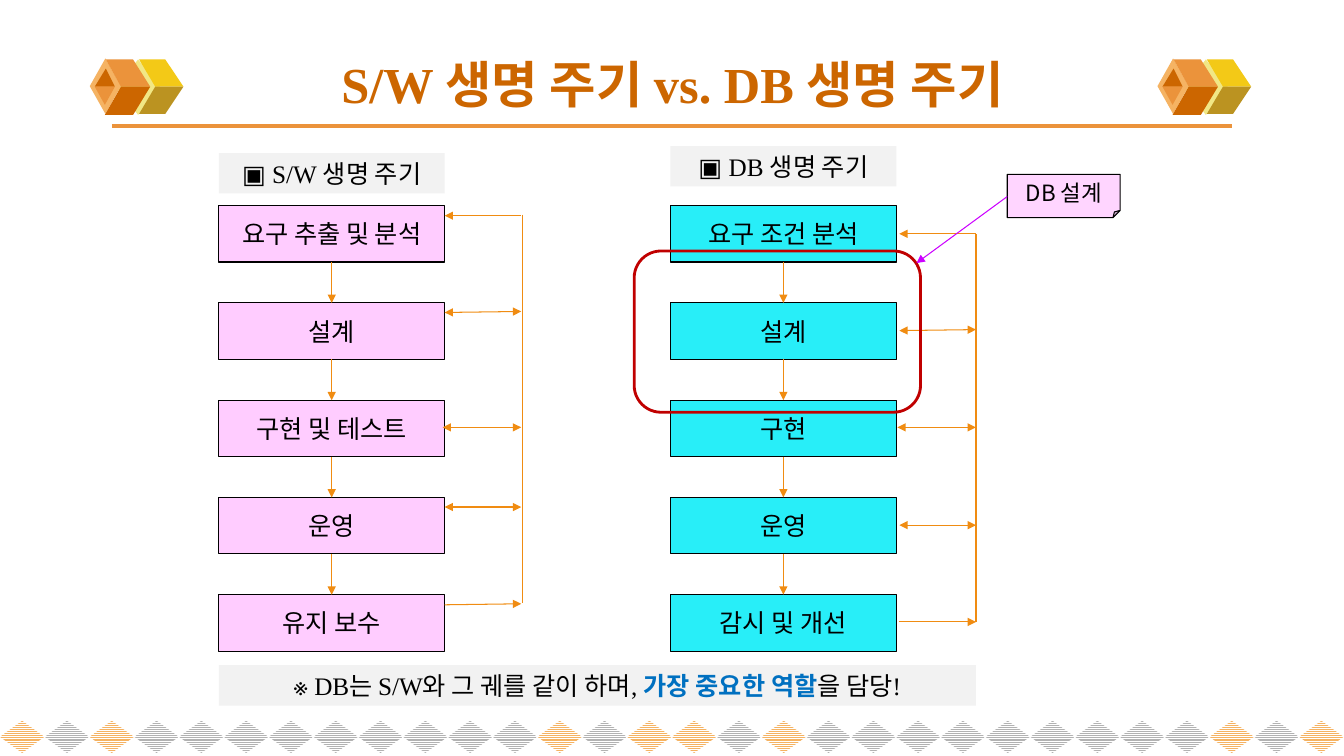
from lxml import etree
from pptx import Presentation
from pptx.dml.color import RGBColor
from pptx.enum.dml import MSO_PATTERN
from pptx.enum.shapes import MSO_CONNECTOR, MSO_SHAPE
from pptx.enum.text import MSO_ANCHOR, PP_ALIGN
from pptx.oxml.ns import qn
from pptx.util import Inches, Pt

RECT = MSO_SHAPE.RECTANGLE
DIAMOND = MSO_SHAPE.DIAMOND
ROUNDED = MSO_SHAPE.ROUNDED_RECTANGLE
FOLDED = MSO_SHAPE.FOLDED_CORNER
STRAIGHT = MSO_CONNECTOR.STRAIGHT
NARROW = MSO_PATTERN.NARROW_HORIZONTAL
MIDDLE = MSO_ANCHOR.MIDDLE
CENTER = PP_ALIGN.CENTER
LATIN = "Times New Roman"
KOREAN = "Noto Sans CJK KR"
ORANGE = "F08C12"
rgb = RGBColor.from_string

prs = Presentation()
prs.slide_width = Inches(13.33)
prs.slide_height = Inches(7.5)
slide = prs.slides.add_slide(prs.slide_layouts[6])
shapes = slide.shapes


def dress(shape, fill=None, outline=None, weight=0.75, text="", size=18,
          color="000000", bold=False, font=LATIN):
    shape.shadow.inherit = False
    if fill:
        shape.fill.solid()
        shape.fill.fore_color.rgb = rgb(fill)
    else:
        shape.fill.background()
    if outline:
        shape.line.color.rgb = rgb(outline)
        shape.line.width = Pt(weight)
    else:
        shape.line.fill.background()
    if text:
        frame = shape.text_frame
        frame.word_wrap = True
        frame.vertical_anchor = MIDDLE
        paragraph = frame.paragraphs[0]
        paragraph.text = text
        paragraph.alignment = CENTER
        paragraph.font.size = Pt(size)
        paragraph.font.bold = bold
        paragraph.font.color.rgb = rgb(color)
        paragraph.font.name = font
        defaults = paragraph._p.pPr.find(qn("a:defRPr"))
        etree.SubElement(defaults, qn("a:ea"), typeface=KOREAN)
    return shape


def add_line(x1, y1, x2, y2, color=ORANGE, weight=0.75, ends=()):
    line = shapes.add_connector(STRAIGHT, Inches(x1), Inches(y1), Inches(x2), Inches(y2))
    line.line.color.rgb = rgb(color)
    line.line.width = Pt(weight)
    properties = line._element.spPr
    for end in ends:
        etree.SubElement(properties.find(qn("a:ln")), qn(f"a:{end}"), type="triangle")
    etree.SubElement(properties, qn("a:effectLst"))


pitch = 13.33 / 30
orange_columns = (0, 2, 12, 14, 15, 17, 27, 29)
for column in range(30):
    diamond = dress(shapes.add_shape(DIAMOND, Inches(column * pitch), Inches(7.15),
                                     Inches(0.44), Inches(0.32)))
    diamond.fill.patterned()
    diamond.fill.pattern = NARROW
    diamond.fill.fore_color.rgb = rgb("F5B363" if column in orange_columns else "B2B2B2")
    diamond.fill.back_color.rgb = rgb("FFFFFF")

add_line(1.11, 1.25, 12.22, 1.25, "EB933B", 2.25)

cube_diamonds = [(0.26, 0.01, 0.44, "F1E785"), (0, 0, 0.31, "F5B363")]
cube_faces = [
    ("F3C917", [(0.65, 0.28), (0.93, 0.28), (0.75, 0.01), (0.49, 0.01)]),
    ("BB9321", [(0.65, 0.28), (0.93, 0.28), (0.75, 0.55), (0.49, 0.55)]),
    ("EB933B", [(0.31, 0.28), (0.6, 0.28), (0.43, 0.01), (0.16, 0.01)]),
    ("CC6600", [(0.31, 0.28), (0.6, 0.28), (0.43, 0.56), (0.15, 0.56)]),
    ("CC6600", [(0.16, 0.1), (0.05, 0.28), (0.25, 0.28)]),
    ("EB933B", [(0.15, 0.46), (0.05, 0.28), (0.25, 0.28)]),
]
cube_top = 0.58
for cube_left in (0.89, 11.48):
    for dx, dy, width, color in cube_diamonds:
        dress(shapes.add_shape(DIAMOND, Inches(cube_left + dx), Inches(cube_top + dy),
                               Inches(width), Inches(0.55)), color)
    for color, corners in cube_faces:
        points = [(Inches(cube_left + dx), Inches(cube_top + dy)) for dx, dy in corners]
        outline = shapes.build_freeform(*points[0])
        outline.add_line_segments(points[1:], close=True)
        dress(outline.convert_to_shape(), color)

title = shapes.add_textbox(Inches(0.67), Inches(0.45), Inches(12), Inches(0.76))
dress(title, text="S/W 생명 주기 vs. DB 생명 주기", size=36, color="CC6600", bold=True)

step_top, step_gap, step_width, step_height = 2.04, 0.965, 2.24, 0.56
cycles = [
    (2.17, 1.52, "▣ S/W 생명 주기", "FFCCFF",
     ["요구 추출 및 분석", "설계", "구현 및 테스트", "운영", "유지 보수"]),
    (6.65, 1.45, "▣ DB 생명 주기", "28EEF8",
     ["요구 조건 분석", "설계", "구현", "운영", "감시 및 개선"]),
]
for left, heading_top, heading, fill, steps in cycles:
    dress(shapes.add_shape(RECT, Inches(left), Inches(heading_top),
                           Inches(step_width), Inches(0.4)), "F2F2F2", text=heading)
    for index, step in enumerate(steps):
        top = step_top + index * step_gap
        dress(shapes.add_shape(RECT, Inches(left), Inches(top), Inches(step_width),
                               Inches(step_height)), fill, "000000", text=step)
        if index:
            middle = left + step_width / 2
            add_line(middle, top - step_gap + step_height, middle, top, ends=["tailEnd"])

BOTH = ("headEnd", "tailEnd")
feedbacks = [
    (5.18, 2.13, 5.98, [
        (4.41, 2.14, 5.17, 2.14, ["headEnd"]),
        (4.41, 3.1, 5.17, 3.09, BOTH),
        (4.39, 4.24, 5.17, 4.24, BOTH),
        (4.41, 5.03, 5.17, 5.03, BOTH),
        (4.41, 6, 5.17, 5.99, ["tailEnd"])]),
    (9.68, 2.32, 6.17, [
        (8.92, 2.32, 9.68, 2.32, ["headEnd"]),
        (8.92, 3.28, 9.68, 3.27, BOTH),
        (8.9, 4.24, 9.68, 4.24, BOTH),
        (8.92, 5.21, 9.68, 5.21, BOTH),
        (8.92, 6.17, 9.68, 6.17, ["tailEnd"])]),
]
for trunk_x, trunk_top, trunk_bottom, branches in feedbacks:
    add_line(trunk_x, trunk_top, trunk_x, trunk_bottom)
    for x1, y1, x2, y2, ends in branches:
        add_line(x1, y1, x2, y2, ends=ends)

dress(shapes.add_shape(ROUNDED, Inches(6.29), Inches(2.49), Inches(2.84), Inches(1.6)),
      outline="C00000", weight=2)
design_note = shapes.add_shape(FOLDED, Inches(9.99), Inches(1.73), Inches(1.12), Inches(0.43))
dress(design_note, "FFD5FF", "000000", text="DB 설계", size=16, font=KOREAN)
add_line(9.99, 1.95, 9.09, 2.61, "CC00FF", ends=["tailEnd"])

summary = dress(shapes.add_shape(RECT, Inches(2.17), Inches(6.6), Inches(7.51), Inches(0.4)),
                "F2F2F2", text="※ DB는 S/W와 그 궤를 같이 하며, ")
summary_line = summary.text_frame.paragraphs[0]
emphasis = summary_line.add_run()
emphasis.text = "가장 중요한 역할"
emphasis.font.bold = True
emphasis.font.color.rgb = rgb("0070C0")
summary_line.add_run().text = "을 담당!"

prs.save("out.pptx")
